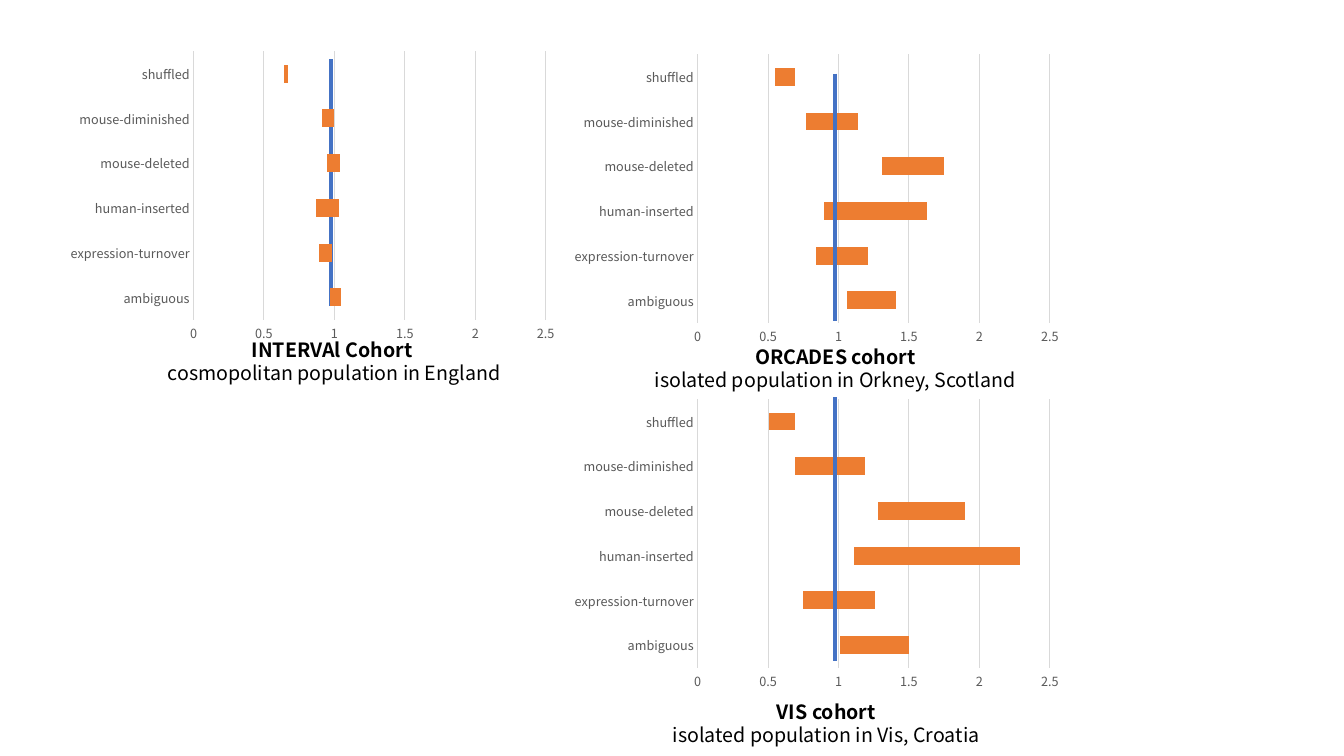
from dataclasses import dataclass
from lxml import etree
from pptx import Presentation
from pptx.chart.data import CategoryChartData
from pptx.dml.color import RGBColor
from pptx.enum.chart import XL_CHART_TYPE, XL_TICK_MARK
from pptx.enum.shapes import MSO_CONNECTOR
from pptx.enum.text import MSO_AUTO_SIZE, PP_ALIGN
from pptx.oxml.ns import qn
from pptx.slide import Slide
from pptx.util import Inches, Pt

FONT = "Noto Sans CJK SC"
COLORS = {
    "text": "000000",
    "label": "595959",
    "grid": "D9D9D9",
    "bar": "ED7D31",
    "marker": "4472C4",
}
CATEGORIES = (
    "ambiguous", "expression-turnover", "human-inserted",
    "mouse-deleted", "mouse-diminished", "shuffled",
)


@dataclass
class Caption:
    title: str
    subtitle: str
    left: float
    top: float
    width: float


@dataclass
class Cohort:
    left: float
    top: float
    starts: tuple[float, ...]
    lengths: tuple[float, ...]
    marker_top: float
    marker_bottom: float
    marker_behind: bool
    caption: Caption


COHORTS = (
    Cohort(
        0.6, 0.45,
        (0.97, 0.89, 0.87, 0.95, 0.91, 0.64),
        (0.08, 0.09, 0.16, 0.09, 0.09, 0.03),
        0.59, 3.04, True,
        Caption("INTERVAl Cohort ", "cosmopolitan population in England", 1.12, 3.3, 4.39),
    ),
    Cohort(
        5.6, 0.48,
        (1.06, 0.84, 0.9, 1.31, 0.77, 0.55),
        (0.35, 0.37, 0.73, 0.44, 0.37, 0.14),
        0.73, 3.18, False,
        Caption("ORCADES cohort", "isolated population in Orkney, Scotland", 5.89, 3.37, 4.79),
    ),
    Cohort(
        5.6, 3.9,
        (1.01, 0.75, 1.11, 1.28, 0.69, 0.51),
        (0.49, 0.51, 1.18, 0.62, 0.5, 0.18),
        3.94, 6.56, False,
        Caption("VIS cohort", "isolated population in Vis, Croatia", 5.8, 6.89, 4.79),
    ),
)
CHART_WIDTH, CHART_HEIGHT = 5, 3
MARKER_OFFSET = 2.68


def rgb(name: str) -> RGBColor:
    return RGBColor.from_string(COLORS[name])


def style_font(font, size: float, color: str) -> None:
    font.name = FONT
    font.size = Pt(size)
    font.color.rgb = rgb(color)


def add_marker(s: Slide, cohort: Cohort) -> None:
    x = Inches(cohort.left + MARKER_OFFSET)
    sp = s.shapes.add_connector(
        MSO_CONNECTOR.STRAIGHT, x, Inches(cohort.marker_top), x, Inches(cohort.marker_bottom)
    )
    sp.line.color.rgb = rgb("marker")
    sp.line.width = Pt(3)
    etree.SubElement(sp._element.spPr, qn("a:effectLst"))


def add_ranges(s: Slide, cohort: Cohort) -> None:
    data = CategoryChartData()
    data.categories = CATEGORIES
    data.add_series("Series 1", cohort.starts)
    data.add_series("Series 2", cohort.lengths)
    chart = s.shapes.add_chart(
        XL_CHART_TYPE.BAR_STACKED, Inches(cohort.left), Inches(cohort.top),
        Inches(CHART_WIDTH), Inches(CHART_HEIGHT), data,
    ).chart
    chart.has_legend = False
    chart.has_title = False
    style_font(chart.font, 10, "text")

    plot = chart.plots[0]
    plot.gap_width = 150
    plot.overlap = 100
    plot.vary_by_categories = False
    hidden, visible = plot.series
    hidden.format.fill.background()
    hidden.format.line.fill.background()
    visible.format.fill.solid()
    visible.format.fill.fore_color.rgb = rgb("bar")

    for axis in (chart.category_axis, chart.value_axis):
        axis.major_tick_mark = XL_TICK_MARK.NONE
        axis.minor_tick_mark = XL_TICK_MARK.NONE
        style_font(axis.tick_labels.font, 9, "label")
    values = chart.value_axis
    values.minimum_scale = 0
    values.maximum_scale = 2.5
    values.major_unit = 0.5
    values.format.line.fill.background()
    values.has_major_gridlines = True
    for line in (chart.category_axis.format.line, values.major_gridlines.format.line):
        line.color.rgb = rgb("grid")
        line.width = Pt(0.75)


def add_caption(s: Slide, caption: Caption) -> None:
    sp = s.shapes.add_textbox(
        Inches(caption.left), Inches(caption.top), Inches(caption.width), Inches(0.57)
    )
    tf = sp.text_frame
    tf.word_wrap = True
    tf.auto_size = MSO_AUTO_SIZE.SHAPE_TO_FIT_TEXT
    tf.text = f"{caption.title}\n{caption.subtitle}"
    for p, bold in zip(tf.paragraphs, (True, False)):
        p.alignment = PP_ALIGN.CENTER
        for r in p.runs:
            style_font(r.font, 14, "text")
            r.font.bold = bold


def main() -> None:
    prs = Presentation()
    prs.slide_width, prs.slide_height = Inches(13.33), Inches(7.5)
    s = prs.slides.add_slide(prs.slide_layouts[6])
    for cohort in COHORTS:
        layers = [add_ranges, add_marker]
        if cohort.marker_behind:
            layers.reverse()
        for draw in layers:
            draw(s, cohort)
        add_caption(s, cohort.caption)
    prs.save("out.pptx")


if __name__ == "__main__":
    main()
